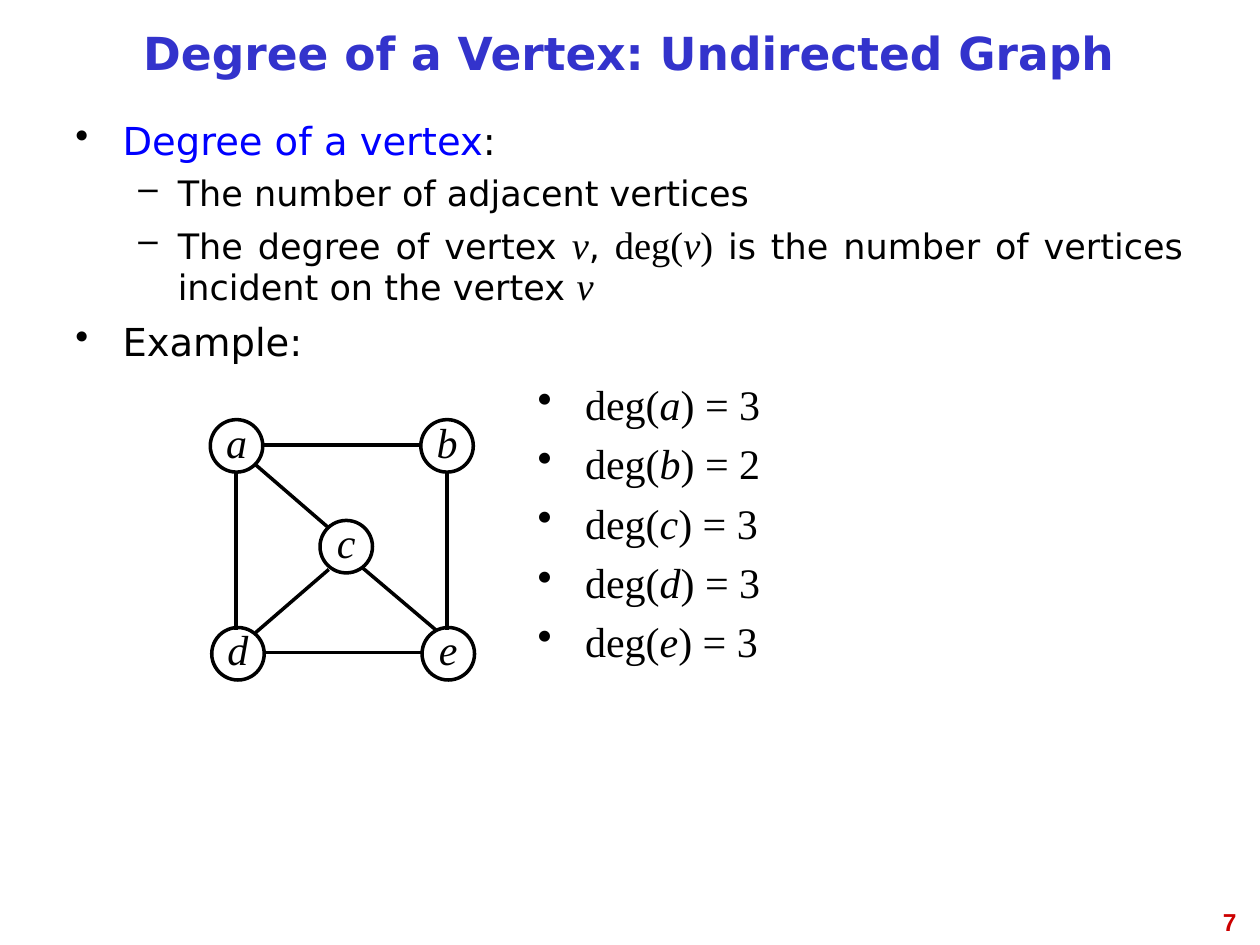
import pptx
import pptx.dml.color
import pptx.enum.shapes
import pptx.enum.text
import pptx.oxml.ns
import pptx.util
from lxml import etree

Pt = pptx.util.Pt
ALIGN = pptx.enum.text.PP_ALIGN
ANCHOR = pptx.enum.text.MSO_ANCHOR
SHAPES = pptx.enum.shapes.MSO_SHAPE
qn = pptx.oxml.ns.qn
COLORS = {"title": "3333CC", "term": "0000FF", "ink": "000000", "number": "CC0000"}
SANS, SERIF = "DejaVu Sans", "Times New Roman"


def add_run(paragraph, text, size, font=SANS, color="ink", bold=False, italic=False):
    run = paragraph.add_run()
    run.text = text
    run.font.size = Pt(size)
    run.font.name = font
    run.font.bold = bold
    run.font.italic = italic
    run.font.color.rgb = pptx.dml.color.RGBColor.from_string(COLORS[color])


def start_bullet(frame, index, level=0):
    """Return a justified, bulleted paragraph; index 0 uses the frame's first one."""
    paragraph = frame.add_paragraph() if index else frame.paragraphs[0]
    margin, hang, before, mark = [(27, 27, 8, "•"), (58.5, 22.5, 7, "–")][level]
    paragraph.alignment = ALIGN.JUSTIFY
    paragraph.level = level
    paragraph.line_spacing = 0.9
    if index:
        paragraph.space_before = Pt(before)
    properties = paragraph._p.get_or_add_pPr()
    properties.set("marL", str(Pt(margin)))
    properties.set("indent", str(-Pt(hang)))
    bullet_color = etree.SubElement(properties, qn("a:buClr"))
    etree.SubElement(bullet_color, qn("a:srgbClr"), val=COLORS["ink"])
    etree.SubElement(properties, qn("a:buChar"), char=mark)
    return paragraph


deck = pptx.Presentation()
deck.slide_width, deck.slide_height = Pt(720), Pt(540)
slide = deck.slides.add_slide(deck.slide_layouts[6])
ink = pptx.dml.color.RGBColor.from_string(COLORS["ink"])

# Slide number and title
page_number = slide.shapes.add_textbox(Pt(545.8), Pt(514.8), Pt(167.8), Pt(37.4)).text_frame
page_number.word_wrap = True
page_number.paragraphs[0].alignment = ALIGN.RIGHT
add_run(page_number.paragraphs[0], "7", 14, "Arial", "number", bold=True)

title = slide.shapes.add_textbox(Pt(36), Pt(5.8), Pt(647.3), Pt(54)).text_frame
title.word_wrap = True
title.vertical_anchor = ANCHOR.MIDDLE
title.paragraphs[0].alignment = ALIGN.CENTER
title.paragraphs[0].line_spacing = 0.81
add_run(title.paragraphs[0], "Degree of a Vertex: Undirected Graph", 26, color="title", bold=True)

# Definition: each point is its level and its runs
math_style = {"size": 22, "font": SERIF}
variable_style = {**math_style, "italic": True}
points = [
    (0, [("Degree of a vertex", {"size": 22, "color": "term"}), (":", {"size": 22})]),
    (1, [("The number of adjacent vertices", {"size": 20})]),
    (1, [("The degree of vertex ", {"size": 20}), ("v", variable_style),
         (", ", {"size": 20}), ("deg(", math_style), ("v", variable_style),
         (")", math_style),
         (" is the number of vertices incident on the vertex ", {"size": 20}),
         ("v", variable_style)]),
    (0, [("Example:", {"size": 22})]),
]
definition = slide.shapes.add_textbox(Pt(36), Pt(66.2), Pt(647.3), Pt(156.2)).text_frame
definition.word_wrap = True
for index, (level, runs) in enumerate(points):
    point = start_bullet(definition, index, level)
    for text, style in runs:
        add_run(point, text, **style)

# Example graph
DIAMETER = 30
vertices = {"a": (120.2, 239.8), "b": (240.5, 239.8), "c": (182.9, 297.4),
            "d": (121, 358.6), "e": (241.2, 358.6)}
edges = {
    "ab": (149.8, 254.2, 239.8, 254.2),
    "de": (150.5, 373, 240.5, 373),
    "ad": (134.8, 270, 134.8, 360),
    "be": (255.4, 270, 255.4, 360),
    "ac": (146.2, 265.7, 187.9, 301.7),
    "ce": (206.6, 324, 249.1, 360),
    "cd": (187.9, 325.4, 146.2, 361.4),
}
for ends in edges.values():
    edge = slide.shapes.add_connector(
        pptx.enum.shapes.MSO_CONNECTOR.STRAIGHT, *[Pt(value) for value in ends])
    edge.line.color.rgb = ink
    edge.line.width = Pt(2)
    etree.SubElement(edge._element.spPr, qn("a:effectLst"))

for name, (left, top) in vertices.items():
    vertex = slide.shapes.add_shape(SHAPES.OVAL, Pt(left), Pt(top), Pt(DIAMETER), Pt(DIAMETER))
    vertex.shadow.inherit = False
    vertex.fill.background()
    vertex.line.color.rgb = ink
    vertex.line.width = Pt(2)
    label = vertex.text_frame
    label.word_wrap = False
    label.vertical_anchor = ANCHOR.MIDDLE
    label.paragraphs[0].alignment = ALIGN.CENTER
    label.paragraphs[0].line_spacing = 0.81
    add_run(label.paragraphs[0], name, 24, SERIF, italic=True)

# Degrees, counted from the edges
degrees = slide.shapes.add_textbox(Pt(300.2), Pt(216), Pt(378), Pt(293.8)).text_frame
degrees.word_wrap = True
for index, name in enumerate(vertices):
    degree = sum(name in pair for pair in edges)
    line = start_bullet(degrees, index)
    add_run(line, "deg(", 24, SERIF)
    add_run(line, name, 24, SERIF, italic=True)
    add_run(line, f") = {degree}", 24, SERIF)

deck.save("out.pptx")
